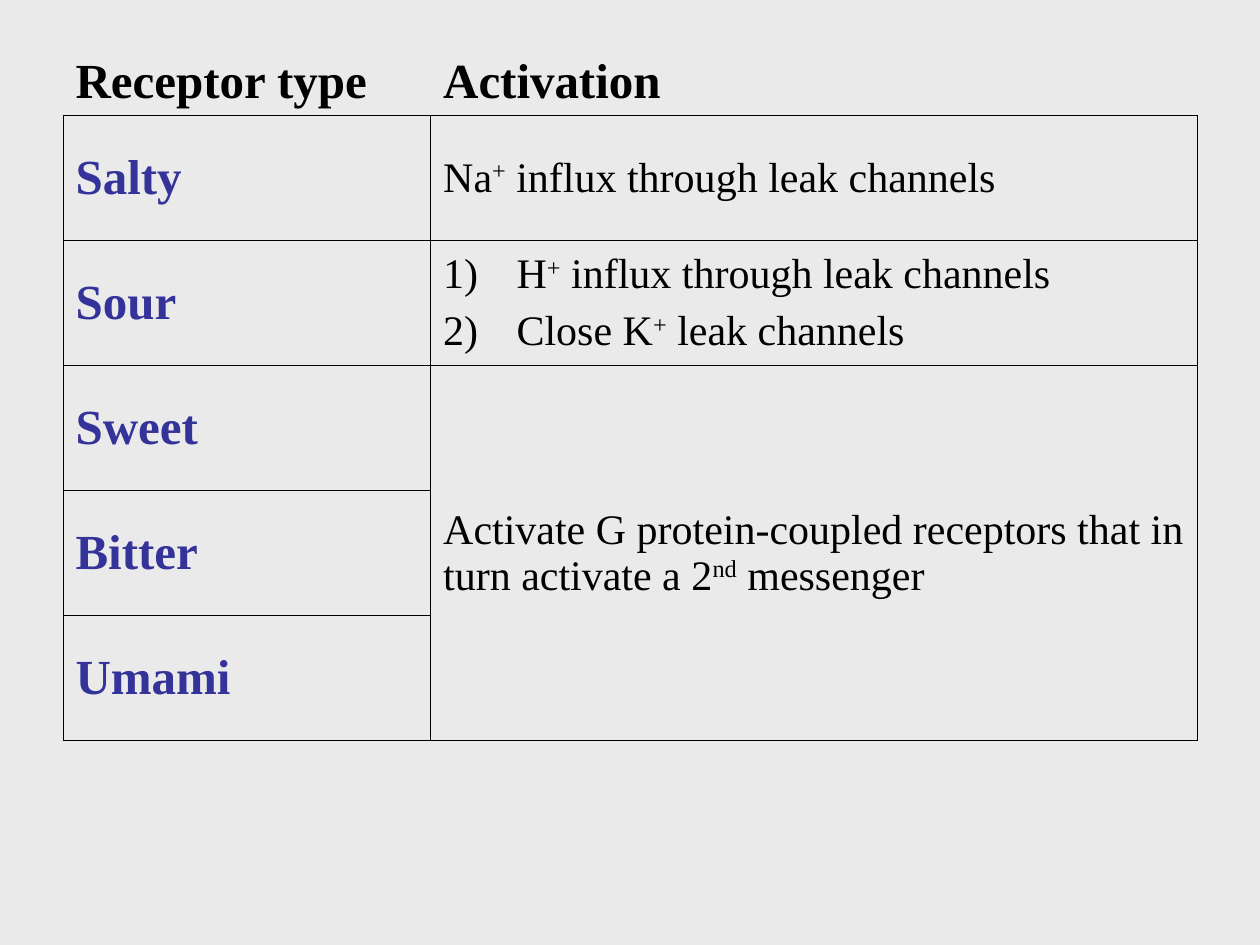
from lxml.etree import SubElement
from pptx import Presentation
from pptx.dml.color import RGBColor
from pptx.enum.text import MSO_ANCHOR
from pptx.oxml.ns import qn
from pptx.util import Cm, Pt

BLACK = RGBColor(0x00, 0x00, 0x00)
INDIGO = RGBColor(0x33, 0x33, 0x99)
BACKGROUND = RGBColor(0xEA, 0xEA, 0xEA)

HEADING = {"name": "Times New Roman", "size": Pt(28), "bold": True}
BODY = {"name": "Times New Roman", "size": Pt(24), "bold": False}

# Each paragraph is a list of runs; every second run is superscript
RECEPTORS = [
    ("Receptor type", [["Activation"]]),
    ("Salty", [["Na", "+", " influx through leak channels"]]),
    ("Sour", [["H", "+", " influx through leak channels"],
              ["Close K", "+", " leak channels"]]),
    ("Sweet", [["Activate G protein-coupled receptors that in turn activate a 2",
                "nd", " messenger"]]),
    ("Bitter", []),
    ("Umami", []),
]


def fill_cell(cell, paragraphs, font_format, color, space_before):
    """Write paragraphs into a cell, numbering them if there are several."""
    for index, runs in enumerate(paragraphs):
        frame = cell.text_frame
        paragraph = frame.paragraphs[0] if index == 0 else frame.add_paragraph()
        paragraph.space_before = space_before
        if len(paragraphs) > 1:
            properties = paragraph._p.get_or_add_pPr()
            properties.set("marL", str(Cm(1.48)))
            properties.set("indent", str(-Cm(1.48)))
            SubElement(properties, qn("a:buAutoNum"), type="arabicParenR")
        for position, text in enumerate(runs):
            run = paragraph.add_run()
            run.text = text
            for attribute, value in font_format.items():
                setattr(run.font, attribute, value)
            run.font.color.rgb = color
            if position % 2:
                run.font._element.set("baseline", "30000")


def set_borders(cell, visible_sides):
    """Draw thin black borders on the given sides and clear the others."""
    properties = cell._tc.get_or_add_tcPr()
    for index, side in enumerate("LRTB"):
        line = SubElement(properties, qn(f"a:ln{side}"), w=str(Pt(0.45)))
        if side in visible_sides:
            fill = SubElement(line, qn("a:solidFill"))
            SubElement(fill, qn("a:srgbClr"), val=str(BLACK))
        else:
            SubElement(line, qn("a:noFill"))
        properties.insert(index, line)


presentation = Presentation()
presentation.slide_width, presentation.slide_height = Cm(25.4), Cm(19.05)
slide = presentation.slides.add_slide(presentation.slide_layouts[6])
slide.background.fill.solid()
slide.background.fill.fore_color.rgb = BACKGROUND

# Table grid: a low heading row above five equal receptor rows
row_heights = [Cm(1.7)] + [Cm(2.52)] * 5
column_widths = [Cm(7.41), Cm(15.45)]
shape = slide.shapes.add_table(len(RECEPTORS), 2, Cm(1.27), Cm(0.63),
                               sum(column_widths), sum(row_heights))
table = shape.table
table.first_row = table.horz_banding = False
for column, width in zip(table.columns, column_widths):
    column.width = width
for row, height in zip(table.rows, row_heights):
    row.height = height

# Receptor names and how each is activated
for row, (receptor, activation) in enumerate(RECEPTORS):
    is_header = row == 0
    name_cell, activation_cell = table.cell(row, 0), table.cell(row, 1)
    for cell in (name_cell, activation_cell):
        cell.vertical_anchor = MSO_ANCHOR.BOTTOM if is_header else MSO_ANCHOR.MIDDLE
        cell.fill.background()
        set_borders(cell, "B" if is_header else "LRTB")
    fill_cell(name_cell, [[receptor]], HEADING, BLACK if is_header else INDIGO, Pt(7))
    fill_cell(activation_cell, activation, HEADING if is_header else BODY, BLACK,
              Pt(7) if is_header else Pt(6))

# Sweet, bitter and umami share one mechanism
table.cell(3, 1).merge(table.cell(5, 1))

presentation.save("out.pptx")
